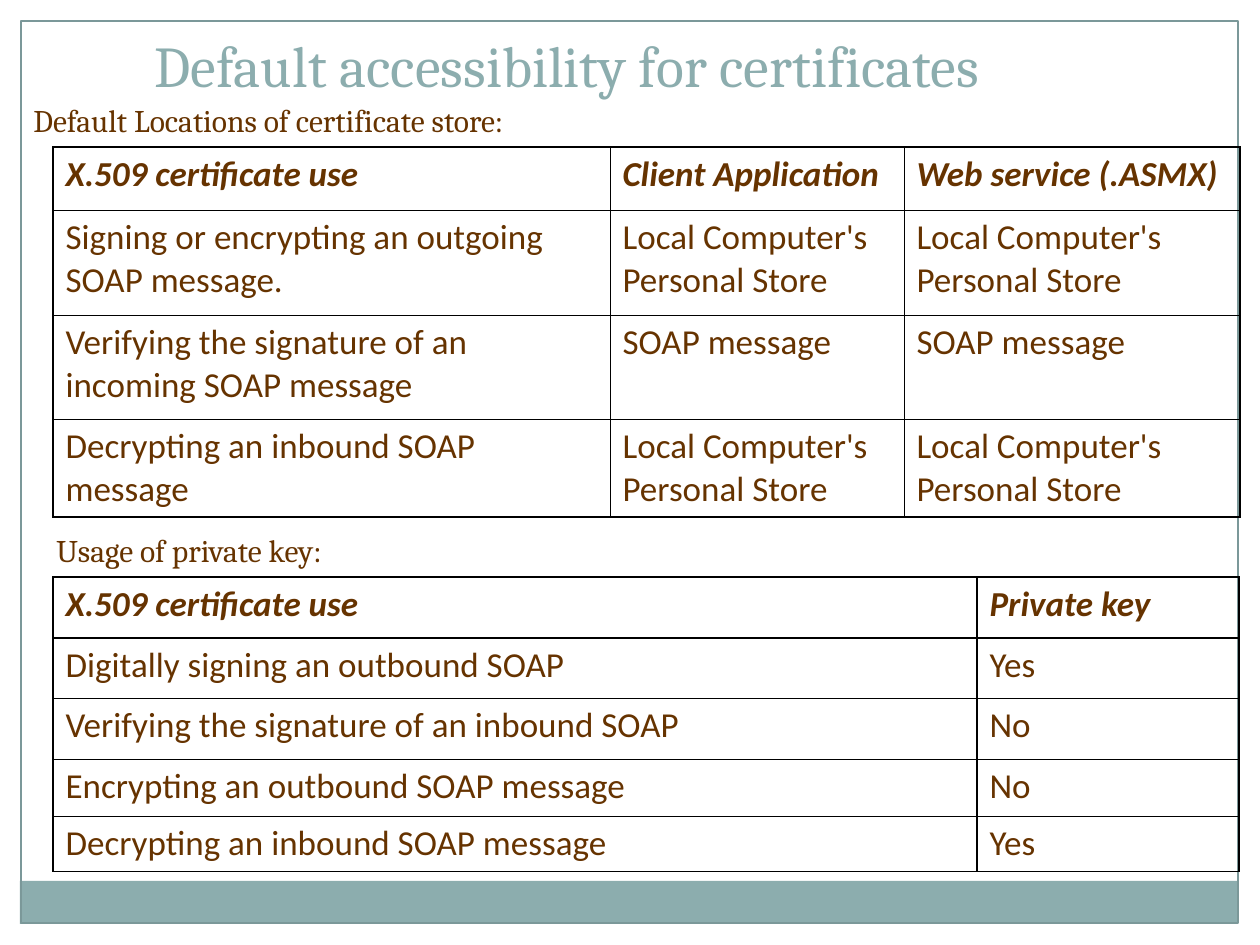
from pptx import Presentation
from pptx.dml.color import RGBColor
from pptx.enum.shapes import MSO_SHAPE
from pptx.enum.text import MSO_ANCHOR, MSO_AUTO_SIZE, PP_ALIGN
from pptx.oxml import parse_xml
from pptx.oxml.ns import nsdecls
from pptx.util import Pt

PX = 914400 // 126
TEAL = RGBColor(0x8C, 0xAD, 0xAE)
FRAME_TEAL = RGBColor(0x7B, 0x98, 0x99)
BROWN = RGBColor(0x66, 0x33, 0x00)
BLACK = RGBColor(0, 0, 0)
THICK, THIN = 1.08, 0.45
TABLE_LEFT = 53

TITLE = "Default accessibility for certificates"
CAPTIONS = [
    ("Default Locations of certificate store:", (21, 95, 577, 50)),
    ("Usage of private key:", (44, 525, 338, 50)),
]
STORE = "Local Computer's Personal Store"
TABLES = [
    {
        "top": 577,
        "columns": [924, 262],
        "heights": [61, 60, 61, 57, 55],
        "header_rule": THICK,
        "column_rule": THICK,
        "rows": [
            ("X.509 certificate use", "Private key"),
            ("Digitally signing an outbound SOAP", "Yes"),
            ("Verifying the signature of an inbound SOAP", "No"),
            ("Encrypting an outbound SOAP message", "No"),
            ("Decrypting an inbound SOAP message", "Yes"),
        ],
    },
    {
        "top": 147,
        "columns": [557, 294, 336],
        "heights": [63, 105, 104, 98],
        "header_rule": THIN,
        "column_rule": THIN,
        "rows": [
            ("X.509 certificate use", "Client Application", "Web service (.ASMX)"),
            ("Signing or encrypting an outgoing SOAP message.", STORE, STORE),
            ("Verifying the signature of an incoming SOAP message",
             "SOAP message", "SOAP message"),
            ("Decrypting an inbound SOAP message", STORE, STORE),
        ],
    },
]


def px(*lengths):
    return [length * PX for length in lengths]


def write(frame, text, size=18, font="Cambria", color=BROWN,
          emphasis=False, align=PP_ALIGN.LEFT):
    paragraph = frame.paragraphs[0]
    paragraph.alignment = align
    run = paragraph.add_run()
    run.text = text
    run.font.size = Pt(size)
    run.font.name = font
    run.font.color.rgb = color
    run.font.bold = run.font.italic = emphasis


def add_rectangle(slide, box, fill=None, line=None):
    rectangle = slide.shapes.add_shape(MSO_SHAPE.RECTANGLE, *px(*box))
    rectangle.shadow.inherit = False
    if fill is None:
        rectangle.fill.background()
    else:
        rectangle.fill.solid()
        rectangle.fill.fore_color.rgb = fill
    if line is None:
        rectangle.line.fill.background()
    else:
        rectangle.line.color.rgb = line
        rectangle.line.width = Pt(0.75)


def set_borders(cell, widths):
    properties = cell._tc.get_or_add_tcPr()
    for position, (side, width) in enumerate(widths.items()):
        properties.insert(position, parse_xml(
            f'<a:{side} {nsdecls("a")} w="{Pt(width)}"><a:solidFill>'
            f'<a:srgbClr val="{BLACK}"/></a:solidFill></a:{side}>'))


def row_rule(edge, content):
    if edge in (0, len(content["rows"])):
        return THICK
    return content["header_rule"] if edge == 1 else THIN


def column_rule(edge, content):
    return THICK if edge in (0, len(content["columns"])) else content["column_rule"]


def add_grid(slide, content):
    rows, columns, heights = content["rows"], content["columns"], content["heights"]
    grid = slide.shapes.add_table(
        len(rows), len(columns),
        *px(TABLE_LEFT, content["top"], sum(columns), sum(heights))).table
    grid.first_row = grid.horz_banding = False
    for column, width in zip(grid.columns, px(*columns)):
        column.width = width
    for r, (labels, height) in enumerate(zip(rows, px(*heights))):
        grid.rows[r].height = height
        for c, label in enumerate(labels):
            cell = grid.cell(r, c)
            cell.fill.background()
            write(cell.text_frame, label, size=20, font="Calibri", emphasis=r == 0)
            set_borders(cell, {
                "lnL": column_rule(c, content),
                "lnR": column_rule(c + 1, content),
                "lnT": row_rule(r, content),
                "lnB": row_rule(r + 1, content),
            })


def main():
    deck = Presentation()
    deck.slide_width, deck.slide_height = px(1260, 945)
    slide = deck.slides.add_slide(deck.slide_layouts[5])

    add_rectangle(slide, (20, 881, 1218, 43), fill=TEAL)
    add_rectangle(slide, (21, 21, 1217, 902), line=FRAME_TEAL)

    title = slide.shapes.title
    title.left, title.top, title.width, title.height = px(0, 0, 1134, 105)
    title.text_frame.vertical_anchor = MSO_ANCHOR.BOTTOM
    title.text_frame.auto_size = MSO_AUTO_SIZE.NONE
    write(title.text_frame, TITLE, size=33, color=TEAL, align=PP_ALIGN.CENTER)

    for content in TABLES:
        add_grid(slide, content)
    for text, box in CAPTIONS:
        caption = slide.shapes.add_textbox(*px(*box)).text_frame
        caption.word_wrap = False
        caption.auto_size = MSO_AUTO_SIZE.SHAPE_TO_FIT_TEXT
        write(caption, text)

    deck.save("out.pptx")


if __name__ == "__main__":
    main()
